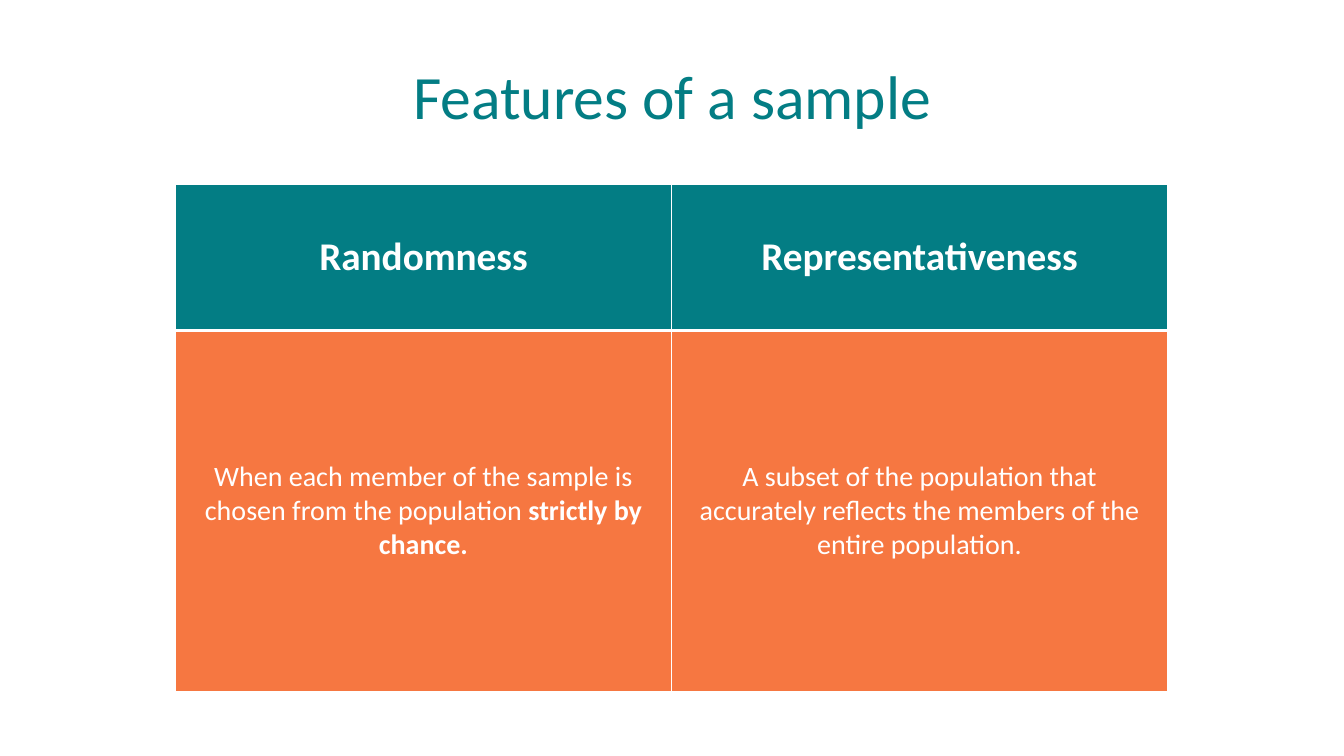
import pptx
import pptx.dml.color
import pptx.enum.text
import pptx.oxml
import pptx.oxml.ns
import pptx.util

TEAL = pptx.dml.color.RGBColor(0x03, 0x7D, 0x84)
ORANGE = pptx.dml.color.RGBColor(0xF6, 0x77, 0x41)
WHITE = pptx.dml.color.RGBColor(0xFF, 0xFF, 0xFF)
FONT = "Calibri"
EMU_PER_PX = 9144

FEATURES = [
    ("Randomness",
     [("When each member of the sample is chosen from the population ", False),
      ("strictly by chance.", True)]),
    ("Representativeness",
     [("A subset of the population that accurately reflects the members "
       "of the entire population.", False)]),
]


def px(length):
    return pptx.util.Emu(length * EMU_PER_PX)


def write(paragraph, text, size, color, bold=False):
    paragraph.alignment = pptx.enum.text.PP_ALIGN.CENTER
    run = paragraph.add_run()
    run.text = text
    run.font.name = FONT
    run.font.size = pptx.util.Pt(size)
    run.font.bold = bold
    run.font.color.rgb = color


class SlideBuilder:
    def __init__(self, presentation):
        self.slide = presentation.slides.add_slide(presentation.slide_layouts[5])

    def title(self, text, left, top, width, height):
        heading = self.slide.shapes.title
        heading.left, heading.top = px(left), px(top)
        heading.width, heading.height = px(width), px(height)
        frame = heading.text_frame
        frame.word_wrap = False
        frame.auto_size = pptx.enum.text.MSO_AUTO_SIZE.SHAPE_TO_FIT_TEXT
        frame.vertical_anchor = pptx.enum.text.MSO_ANCHOR.TOP
        write(frame.paragraphs[0], text, 44, TEAL)

    def table(self, features, left, top, width, row_heights):
        table = self.slide.shapes.add_table(
            len(row_heights), len(features), px(left), px(top),
            px(width), px(sum(row_heights))).table
        for row, height in zip(table.rows, row_heights):
            row.height = px(height)
        for column, (name, meaning) in enumerate(features):
            self.cell(table.cell(0, column), [(name, True)], 28, TEAL, bottom=3)
            self.cell(table.cell(1, column), meaning, 20, ORANGE, top=3)

    def cell(self, cell, runs, size, fill, top=1, bottom=1):
        cell.vertical_anchor = pptx.enum.text.MSO_ANCHOR.MIDDLE
        for text, bold in runs:
            write(cell.text_frame.paragraphs[0], text, size, WHITE, bold)
        self.borders(cell, {"lnL": 1, "lnR": 1, "lnT": top, "lnB": bottom})
        cell.fill.solid()
        cell.fill.fore_color.rgb = fill

    def borders(self, cell, widths):
        properties = cell._tc.get_or_add_tcPr()
        for edge, width in widths.items():
            properties.append(pptx.oxml.parse_xml(
                f'<a:{edge} {pptx.oxml.ns.nsdecls("a")} w="{pptx.util.Pt(width)}">'
                f'<a:solidFill><a:srgbClr val="{WHITE}"/></a:solidFill></a:{edge}>'))


def main():
    presentation = pptx.Presentation()
    presentation.slide_width, presentation.slide_height = px(1333), px(750)
    builder = SlideBuilder(presentation)
    builder.table(FEATURES, 174, 183, 984, [145, 358])
    builder.title("Features of a sample", 397, 52, 540, 84)
    presentation.save("out.pptx")


if __name__ == "__main__":
    main()
